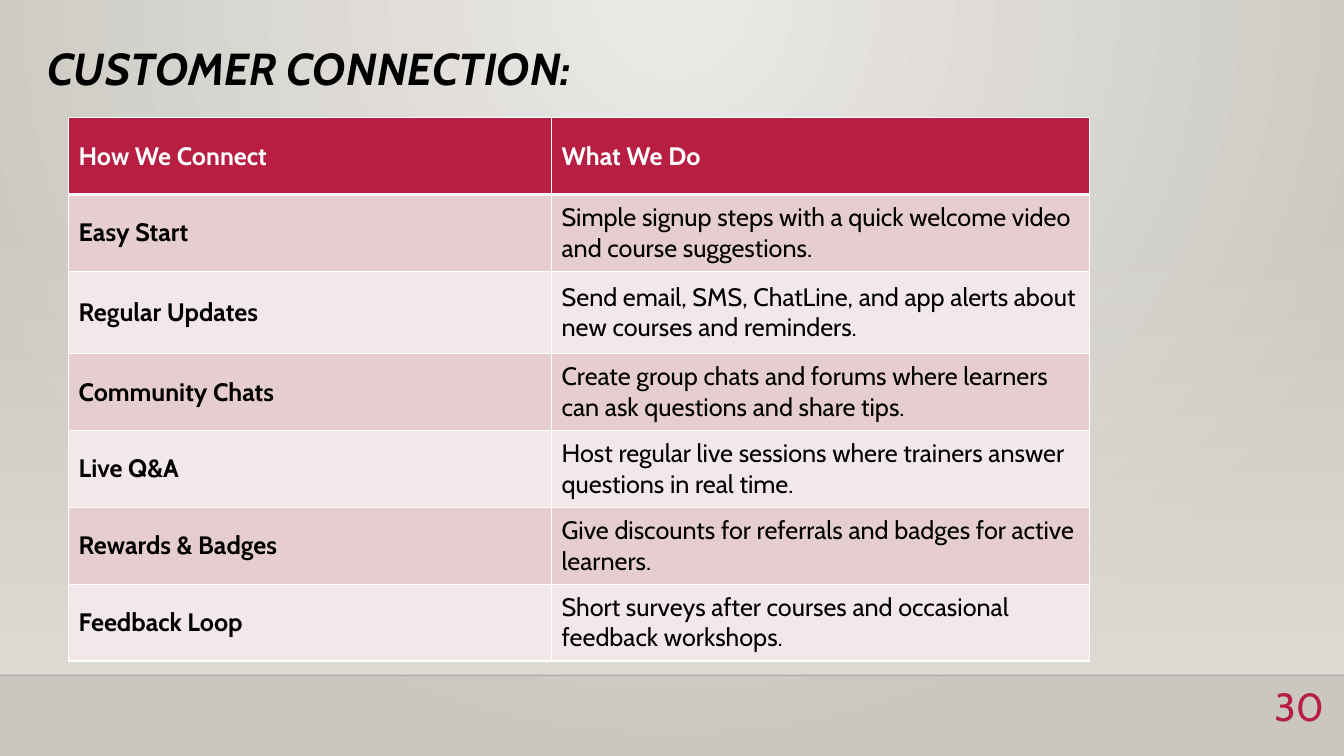
from dataclasses import dataclass

from lxml.etree import SubElement
from pptx import Presentation
from pptx.dml.color import RGBColor
from pptx.enum.shapes import MSO_CONNECTOR, MSO_SHAPE
from pptx.enum.text import MSO_ANCHOR, MSO_AUTO_SIZE, PP_ALIGN
from pptx.oxml import parse_xml
from pptx.oxml.ns import nsdecls, qn
from pptx.util import Pt


@dataclass(frozen=True)
class Theme:
    font: str = "Cabin"
    accent: str = "B71E42"
    black: str = "000000"
    white: str = "FFFFFF"
    bands: tuple = ("E6CDCF", "F3E8E9")
    glow: tuple = ("ECEAE7", "CAC7C1")
    wall: str = "DFDBD5"
    title: int = 32
    body: int = 18
    number: int = 28


THEME = Theme()
SLIDE_W, SLIDE_H = 960, 540
FLOOR_Y = 482.4
HEADER = ("How We Connect", "What We Do")
ROWS = (
    ("Easy Start", "Simple signup steps with a quick welcome video and course suggestions."),
    ("Regular Updates", "Send email, SMS, ChatLine, and app alerts about new courses and reminders."),
    ("Community Chats", "Create group chats and forums where learners can ask questions and share tips."),
    ("Live Q&A", "Host regular live sessions where trainers answer questions in real time."),
    ("Rewards & Badges", "Give discounts for referrals and badges for active learners."),
    ("Feedback Loop", "Short surveys after courses and occasional feedback workshops."),
)


def add_run(p, text, size, color, bold=False, italic=False):
    r = p.add_run()
    r.text = text
    f = r.font
    f.name, f.size, f.bold, f.italic = THEME.font, Pt(size), bold, italic
    f.color.rgb = RGBColor.from_string(color)


def set_gradient(fill, parent, stops, direction):
    """Fill with (position, colour, opacity) stops, all in percent."""
    fill.gradient()
    old = parent.find(".//" + qn("a:gradFill"))
    gs = "".join(
        f'<a:gs pos="{pos * 1000}"><a:srgbClr val="{color}">'
        f'<a:alpha val="{alpha * 1000}"/></a:srgbClr></a:gs>'
        for pos, color, alpha in stops)
    new = parse_xml(f'<a:gradFill {nsdecls("a")} rotWithShape="1">'
                    f"<a:gsLst>{gs}</a:gsLst>{direction}</a:gradFill>")
    old.getparent().replace(old, new)


def add_backdrop(s, wall_top):
    inner, outer = THEME.glow
    set_gradient(s.background.fill, s.element, ((0, inner, 100), (100, outer, 100)),
                 '<a:path path="circle"><a:fillToRect l="43000" r="43000" b="100000"/></a:path>')
    wall = s.shapes.add_shape(MSO_SHAPE.RECTANGLE, 0, Pt(wall_top),
                              Pt(SLIDE_W), Pt(FLOOR_Y - wall_top))
    wall.shadow.inherit = False
    wall.line.fill.background()
    set_gradient(wall.fill, wall.element, ((0, THEME.wall, 0), (100, THEME.wall, 100)),
                 '<a:lin ang="5400000" scaled="0"/>')
    edge = s.shapes.add_connector(MSO_CONNECTOR.STRAIGHT, 0, Pt(FLOOR_Y), Pt(SLIDE_W), Pt(FLOOR_Y))
    edge.line.width = Pt(1)
    edge.line.color.rgb = RGBColor.from_string(THEME.black)
    SubElement(edge.element.find(".//" + qn("a:srgbClr")), qn("a:alpha"), val="20000")
    SubElement(edge.element.spPr, qn("a:effectLst"))


def place_title(s, text, x, y, w, h):
    sp = s.shapes.title
    sp.left, sp.top, sp.width, sp.height = Pt(x), Pt(y), Pt(w), Pt(h)
    tf = sp.text_frame
    tf.word_wrap = True
    tf.auto_size = MSO_AUTO_SIZE.SHAPE_TO_FIT_TEXT
    tf.vertical_anchor = MSO_ANCHOR.TOP
    p = tf.paragraphs[0]
    p.alignment = PP_ALIGN.LEFT
    add_run(p, text, THEME.title, THEME.black, bold=True, italic=True)


def add_page_number(s, text, x, y, w, h):
    tf = s.shapes.add_textbox(Pt(x), Pt(y), Pt(w), Pt(h)).text_frame
    tf.word_wrap = True
    tf.vertical_anchor = MSO_ANCHOR.MIDDLE
    p = tf.paragraphs[0]
    p.alignment = PP_ALIGN.CENTER
    add_run(p, text, THEME.number, THEME.accent)


def set_borders(cell, widths):
    """Rule the cell in white; widths run left, right, top, bottom."""
    tcPr = cell._tc.get_or_add_tcPr()
    for i, (side, width) in enumerate(zip("LRTB", widths)):
        tcPr.insert(i, parse_xml(
            f'<a:ln{side} {nsdecls("a")} w="{Pt(width)}"><a:solidFill>'
            f'<a:srgbClr val="{THEME.white}"/></a:solidFill></a:ln{side}>'))


def add_connection_table(s, x, y, col_widths, row_heights):
    table = s.shapes.add_table(len(row_heights), len(col_widths), Pt(x), Pt(y),
                               Pt(sum(col_widths)), Pt(sum(row_heights))).table
    for col, width in zip(table.columns, col_widths):
        col.width = Pt(width)
    for i, texts in enumerate((HEADER, *ROWS)):
        table.rows[i].height = Pt(row_heights[i])
        head = i == 0
        fill = THEME.accent if head else THEME.bands[(i - 1) % 2]
        for j, text in enumerate(texts):
            cell = table.cell(i, j)
            cell.fill.solid()
            cell.fill.fore_color.rgb = RGBColor.from_string(fill)
            cell.vertical_anchor = MSO_ANCHOR.MIDDLE
            set_borders(cell, (1, 1, 3 if i == 1 else 1, 3 if head else 1))
            add_run(cell.text_frame.paragraphs[0], text, THEME.body,
                    THEME.white if head else THEME.black, bold=head or j == 0)


def build_slide(prs):
    s = prs.slides.add_slide(prs.slide_layouts[5])
    add_backdrop(s, 159)
    add_page_number(s, "30", 896, 484.6, 64, 39.6)
    add_connection_table(s, 49, 84, (345, 384.5), (54.9, 54.9, 58.9, *[54.9] * 4))
    place_title(s, "CUSTOMER CONNECTION:", 26.6, 25.2, 480, 46)


def main():
    prs = Presentation()
    prs.slide_width, prs.slide_height = Pt(SLIDE_W), Pt(SLIDE_H)
    build_slide(prs)
    prs.save("out.pptx")


if __name__ == "__main__":
    main()
